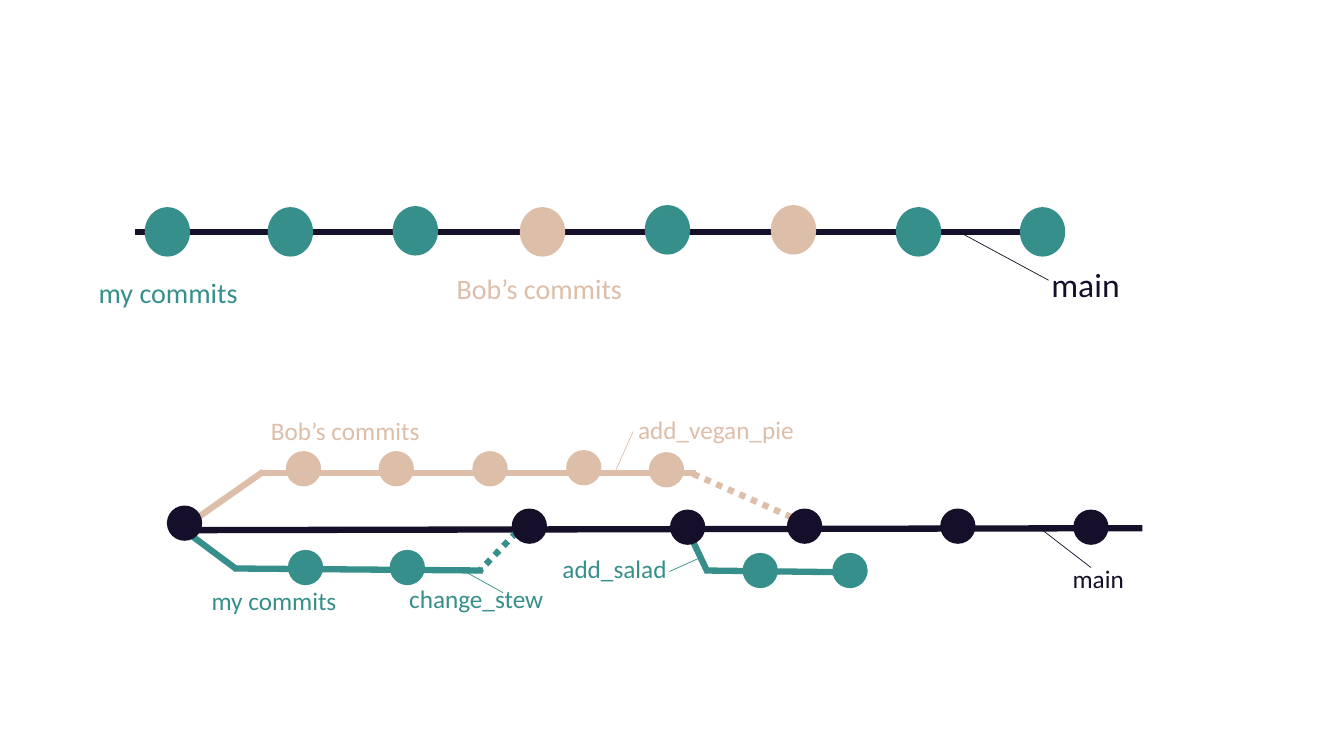
from lxml.etree import SubElement
from pptx import Presentation
from pptx.dml.color import RGBColor
from pptx.enum.dml import MSO_LINE
from pptx.enum.shapes import MSO_CONNECTOR, MSO_SHAPE
from pptx.enum.text import MSO_AUTO_SIZE, PP_ALIGN
from pptx.oxml.ns import qn
from pptx.util import Pt

INK, TEAL, SAND = "160F29", "368F8B", "DDBEA8"
FONT = "Calibri"
PX = 9144
BRANCH_WIDTH, LEADER_WIDTH = 4.5, 0.5

BRANCHES = [
    (1031, 230, 134, 230, INK),
    (683, 528, 702, 568, TEAL),
    (184, 527, 235, 565, TEAL),
    (1133, 524, 169, 526, INK),
    (479, 566, 233, 564, TEAL),
    (690, 469, 258, 469, SAND),
    (860, 568, 700, 566, TEAL),
    (184, 522, 261, 468, SAND),
]
MERGES = [
    (521, 519, 476, 566, TEAL),
    (785, 513, 687, 470, SAND),
]
LEADERS = [
    (1040, 278, 951, 230, INK),
    (1082, 563, 1034, 526, INK),
    (695, 553, 664, 567, TEAL),
    (499, 588, 461, 567, TEAL),
    (628, 428, 611, 466, SAND),
]

SINGLE_BRANCH_SIZE = (45, 49)
SINGLE_BRANCH_COMMITS = [
    (TEAL, [(166, 230), (288, 230), (412, 229), (662, 228), (911, 230), (1034, 230)]),
    (SAND, [(538, 230), (787, 228)]),
]
MULTI_BRANCH_SIZE = (35, 35)
MULTI_BRANCH_COMMITS = [
    (TEAL, [(303, 563), (404, 563), (754, 566), (843, 566)]),
    (SAND, [(301, 465), (393, 465), (486, 465), (579, 464), (661, 466)]),
    (INK, [(183, 519), (525, 522), (682, 523), (798, 522), (950, 522), (1082, 523)]),
]

LABELS = [
    ("main", 1033, 257, 116, 50, 24, INK, PP_ALIGN.LEFT),
    ("my commits", 88, 268, 324, 44, 20, TEAL, PP_ALIGN.LEFT),
    ("Bob’s commits", 443, 264, 360, 44, 20, SAND, PP_ALIGN.LEFT),
    ("my commits", 200, 576, 298, 40, 18, TEAL, PP_ALIGN.LEFT),
    ("Bob’s commits", 159, 407, 267, 40, 18, SAND, PP_ALIGN.RIGHT),
    ("main", 1054, 554, 100, 40, 18, INK, PP_ALIGN.LEFT),
    ("add_salad", 548, 544, 139, 40, 18, TEAL, PP_ALIGN.LEFT),
    ("change_stew", 396, 574, 233, 40, 18, TEAL, PP_ALIGN.LEFT),
    ("add_vegan_pie", 623, 406, 247, 40, 18, SAND, PP_ALIGN.LEFT),
]


def color(value):
    return RGBColor.from_string(value)


def px(*lengths):
    return [round(length * PX) for length in lengths]


def draw_line(page, points, shade, width, dash=None):
    line = page.shapes.add_connector(MSO_CONNECTOR.STRAIGHT, *px(*points))
    line.line.color.rgb = color(shade)
    line.line.width = Pt(width)
    if dash:
        line.line.dash_style = dash
    SubElement(line._element.spPr, qn("a:effectLst"))


def draw_commits(page, groups, size):
    width, height = size
    for shade, centers in groups:
        for x, y in centers:
            dot = page.shapes.add_shape(
                MSO_SHAPE.OVAL, *px(x - width / 2, y - height / 2, width, height))
            dot.shadow.inherit = False
            dot.fill.solid()
            dot.fill.fore_color.rgb = color(shade)
            dot.line.fill.background()


def draw_label(page, text, left, top, width, height, size, shade, align):
    box = page.shapes.add_textbox(*px(left, top, width, height))
    frame = box.text_frame
    frame.word_wrap = True
    frame.auto_size = MSO_AUTO_SIZE.SHAPE_TO_FIT_TEXT
    para = frame.paragraphs[0]
    para.alignment = align
    span = para.add_run()
    span.text = text
    span.font.name = FONT
    span.font.size = Pt(size)
    span.font.color.rgb = color(shade)


def main():
    deck = Presentation()
    deck.slide_width, deck.slide_height = px(1333, 750)
    page = deck.slides.add_slide(deck.slide_layouts[6])
    for *points, shade in BRANCHES:
        draw_line(page, points, shade, BRANCH_WIDTH)
    for *points, shade in MERGES:
        draw_line(page, points, shade, BRANCH_WIDTH, MSO_LINE.ROUND_DOT)
    draw_commits(page, SINGLE_BRANCH_COMMITS, SINGLE_BRANCH_SIZE)
    draw_commits(page, MULTI_BRANCH_COMMITS, MULTI_BRANCH_SIZE)
    for *points, shade in LEADERS:
        draw_line(page, points, shade, LEADER_WIDTH)
    for label in LABELS:
        draw_label(page, *label)
    deck.save("out.pptx")


if __name__ == "__main__":
    main()
